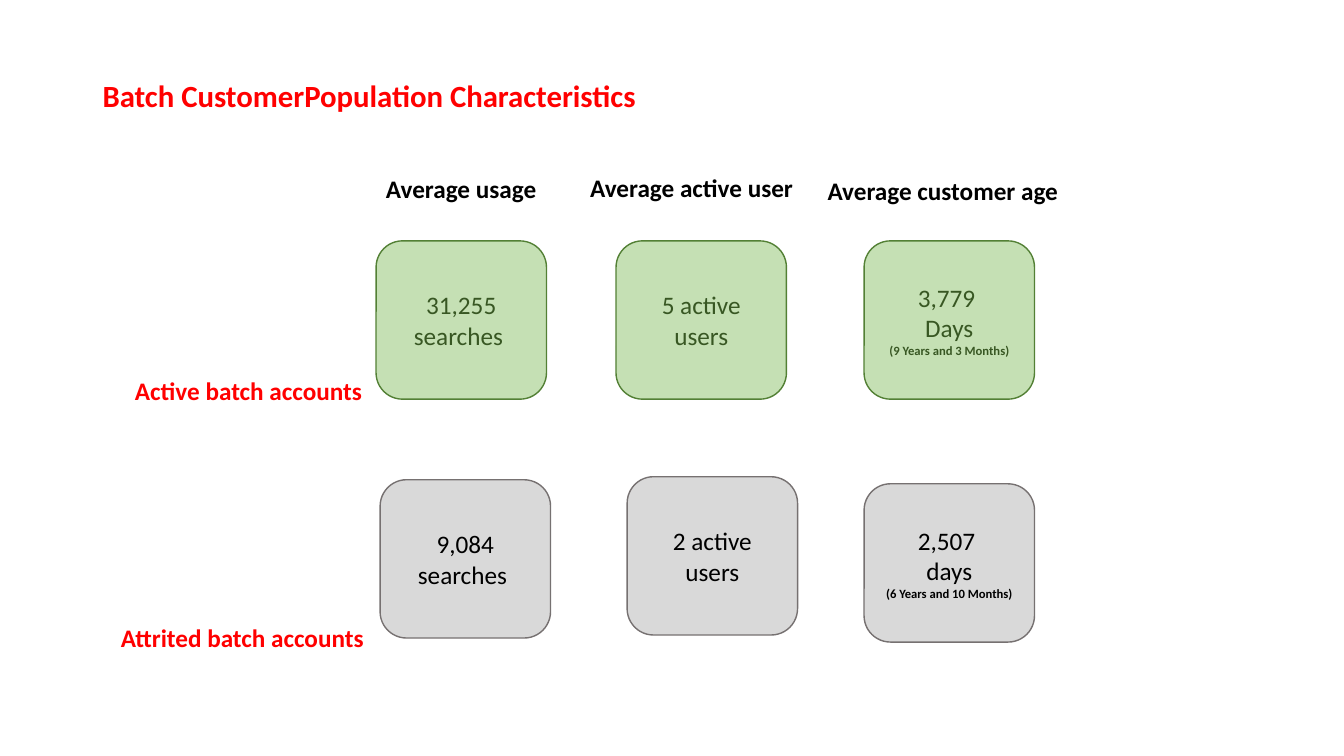
from pptx import Presentation
from pptx.dml.color import RGBColor
from pptx.enum.shapes import MSO_SHAPE
from pptx.enum.text import MSO_ANCHOR, PP_ALIGN
from pptx.util import Emu, Pt

ROUNDED = MSO_SHAPE.ROUNDED_RECTANGLE
TOP, MIDDLE = MSO_ANCHOR.TOP, MSO_ANCHOR.MIDDLE
LEFT, CENTER = PP_ALIGN.LEFT, PP_ALIGN.CENTER

PX = 9144  # 100 px to the inch
RED, BLACK = "FF0000", "000000"
CARD_WIDTH, CARD_HEIGHT = 169, 157


def color(hex_code):
    return RGBColor.from_string(hex_code)


def write(box, lines, ink, align, anchor):
    """Fill a box with one paragraph per (text, size, bold) line."""
    frame = box.text_frame
    frame.word_wrap = True
    frame.vertical_anchor = anchor
    for index, (text, size, bold) in enumerate(lines):
        para = frame.add_paragraph() if index else frame.paragraphs[0]
        para.alignment = align
        span = para.add_run()
        span.text = text
        span.font.name = "Calibri"
        span.font.size = Pt(size)
        span.font.bold = bold
        span.font.color.rgb = color(ink)


deck = Presentation()
deck.slide_width, deck.slide_height = Emu(1333 * PX), Emu(750 * PX)
page = deck.slides.add_slide(deck.slide_layouts[6])

# Title, row labels and column headings
labels = [
    ("Batch CustomerPopulation Characteristics", 92, 40, 1150, 108, 22, RED, LEFT, MIDDLE),
    ("Active batch accounts", 124, 367, 258, 40, 18, RED, LEFT, TOP),
    ("Attrited batch accounts", 110, 612, 272, 40, 18, RED, LEFT, TOP),
    ("Average usage", 373, 167, 173, 40, 18, BLACK, LEFT, TOP),
    ("Average active user", 569, 166, 234, 40, 18, BLACK, CENTER, TOP),
    ("Average customer age", 811, 169, 260, 40, 18, BLACK, LEFT, TOP),
]
for text, left, top, width, height, size, ink, align, anchor in labels:
    box = page.shapes.add_textbox(left * PX, top * PX, width * PX, height * PX)
    write(box, [(text, size, True)], ink, align, anchor)

# Cards: one row per account group, as (left, top, value lines, age note)
card_rows = [
    ("C5E0B4", "538035", "385723", [
        (373, 239, ["31,255 searches "], None),
        (611, 239, ["5 active users"], None),
        (857, 239, ["3,779 ", "Days"], "(9 Years and 3\u00a0Months)"),
    ]),
    ("D9D9D9", "767171", BLACK, [
        (377, 476, ["9,084 searches "], None),
        (622, 473, ["2 active users"], None),
        (857, 480, ["2,507 ", "days"], "(6 Years and 10\u00a0Months)"),
    ]),
]
for fill, outline, ink, cards in card_rows:
    for left, top, values, note in cards:
        card = page.shapes.add_shape(
            ROUNDED, left * PX, top * PX, CARD_WIDTH * PX, CARD_HEIGHT * PX)
        card.shadow.inherit = False
        card.fill.solid()
        card.fill.fore_color.rgb = color(fill)
        card.line.color.rgb = color(outline)
        card.line.width = Pt(1)
        lines = [(value, 18, False) for value in values]
        if note:
            lines.append((note, 9, True))
        write(card, lines, ink, CENTER, MIDDLE)

deck.save("out.pptx")
